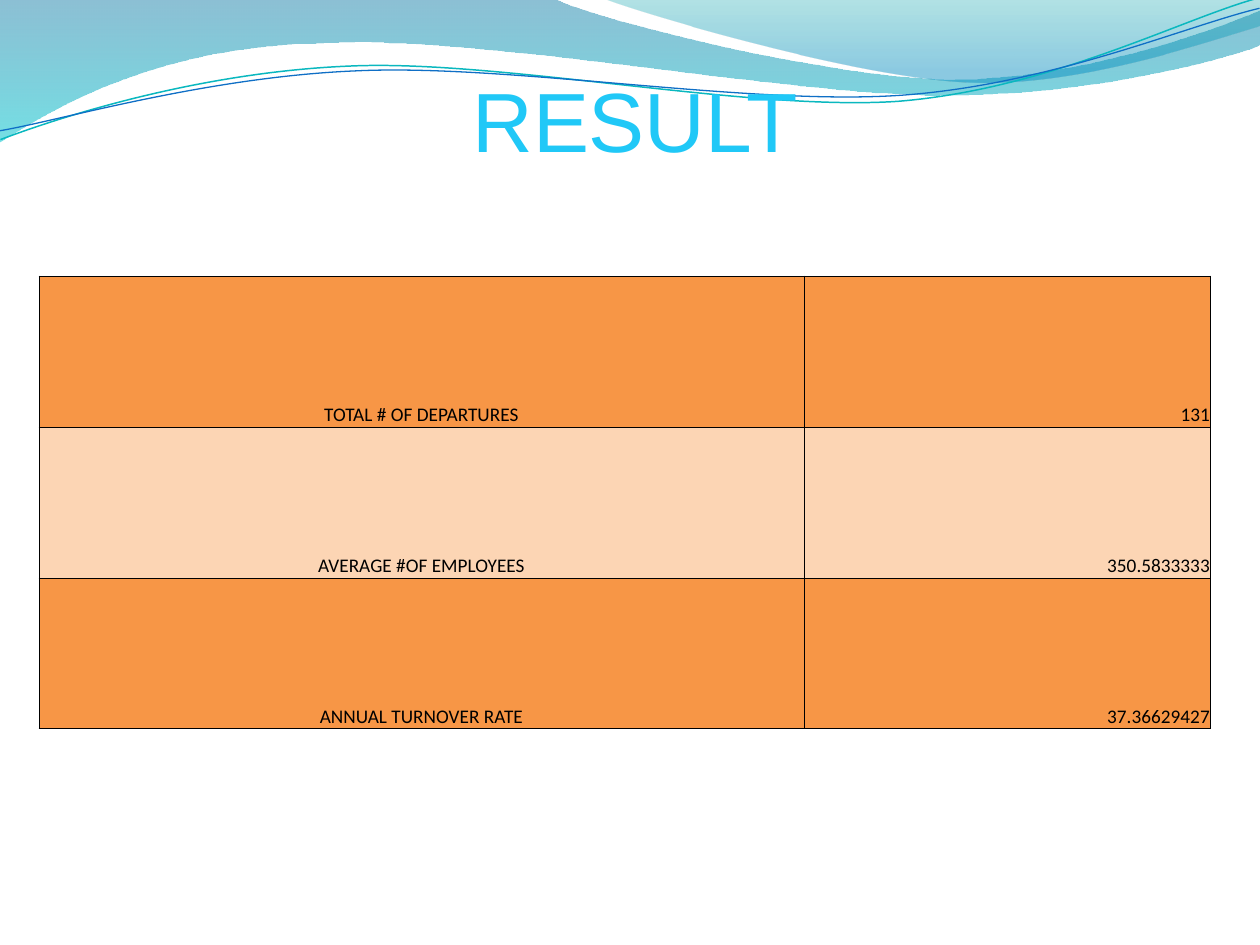
from lxml.etree import SubElement
from pptx import Presentation
from pptx.dml.color import RGBColor
from pptx.enum.text import MSO_ANCHOR, PP_ALIGN
from pptx.oxml.ns import qn
from pptx.util import Pt

PX = 914400 / 126  # EMU per px


def color(hex_string):
    return RGBColor.from_string(hex_string)


def add_outline(slide, start, segments, close):
    """Draw lines (one point) and cubic curves (three points) as one freeform."""
    builder = slide.shapes.build_freeform(*start, scale=PX)
    builder.add_line_segments([p for segment in segments for p in segment], close=close)
    shape = builder.convert_to_shape()
    shape.shadow.inherit = False
    steps = iter(list(shape._element.iter(qn("a:lnTo"))))
    for segment in segments:
        first, *others = [next(steps) for _ in segment]
        if others:
            curve = first.makeelement(qn("a:cubicBezTo"))
            first.addprevious(curve)
            for step in (first, *others):
                curve.append(step[0])
                step.getparent().remove(step)
    return shape


presentation = Presentation()
presentation.slide_width = round(1260 * PX)
presentation.slide_height = round(945 * PX)
slide = presentation.slides.add_slide(presentation.slide_layouts[6])

# Header waves: start, segments, gradient stops (position, color, opacity %)
waves = [
    ((0, 0), [
        [(554, -1)],
        [(600, 21), (837, 79), (955, 79)],
        [(1075, 79), (1207, 33), (1260, 11)],
        [(1261, 45)],
        [(1239, 55), (1096, 96), (940, 95)],
        [(784, 95), (481, 35), (324, 43)],
        [(163, 45), (58, 105), (-1, 142)],
    ], [(0, "0074A1", 45), (1, "00C6CF", 55)]),
    ((604, -1), [
        [(641, 14), (859, 78), (969, 82)],
        [(1079, 87), (1211, 40), (1260, 26)],
        [(1260, 0)],
    ], [(0, "00A1A9", 30), (0.8, "008BBF", 45)]),
]
for start, segments, stops in waves:
    wave = add_outline(slide, start, segments, close=True)
    wave.line.fill.background()
    wave.fill.gradient()
    wave.fill.gradient_angle = 270
    for stop, (position, hex_string, _) in zip(wave.fill.gradient_stops, stops):
        stop.position = position
        stop.color.rgb = color(hex_string)
    stop_colors = wave._element.spPr.iter(qn("a:srgbClr"))
    for stop_color, (_, _, opacity) in zip(list(stop_colors), stops):
        SubElement(stop_color, qn("a:alpha"), val=str(opacity * 1000))

# Thin lines over the waves, slightly turned
wave_lines = [
    ((-2, 110), [
        [(59, 90), (200, 52), (350, 53)],
        [(499, 53), (745, 117), (896, 114)],
        [(1049, 109), (1184, 45), (1260, 28)],
    ], "0AB8BF", 0.85),
    ((-2, 101), [
        [(57, 94), (207, 57), (357, 58)],
        [(509, 58), (750, 112), (902, 108)],
        [(1052, 104), (1188, 52), (1262, 38)],
    ], "0F6FC6", 0.75),
]
for start, segments, hex_string, width in wave_lines:
    wave_line = add_outline(slide, start, segments, close=False)
    wave_line.rotation = 357.3
    wave_line.fill.background()
    wave_line.line.color.rgb = color(hex_string)
    wave_line.line.width = Pt(width)

# Title, ending in a line break
title = slide.shapes.add_textbox(*(round(n * PX) for n in (63, 78, 1144, 186)))
text_frame = title.text_frame
text_frame.word_wrap = True
text_frame.vertical_anchor = MSO_ANCHOR.BOTTOM
text_frame.margin_left = text_frame.margin_right = text_frame.margin_bottom = 0
text_frame.margin_top = round(6 * PX)
text_frame.text = "RESULT\v"
paragraph = text_frame.paragraphs[0]
paragraph.alignment = PP_ALIGN.CENTER
font = paragraph.runs[0].font
font.name, font.size = "Arial", Pt(48)
font.color.rgb = color("20C8F7")
line_break = paragraph._p.find(qn("a:br"))
for parent, tag in ((line_break, "a:rPr"), (paragraph._p, "a:endParaRPr")):
    break_font = SubElement(parent, qn(tag), sz="4500")
    SubElement(break_font, qn("a:latin"), typeface="Arial")

# Result table
results = [
    ("TOTAL # OF DEPARTURES", "131"),
    ("AVERAGE #OF EMPLOYEES", "350.5833333"),
    ("ANNUAL TURNOVER RATE", "37.36629427"),
]
column_widths = (765, 406)
row_height = 151
frame = slide.shapes.add_table(
    len(results), len(column_widths), round(39 * PX), round(276 * PX),
    round(sum(column_widths) * PX), round(row_height * len(results) * PX))
table = frame.table
table.first_row = table.horz_banding = False
for column, width in zip(table.columns, column_widths):
    column.width = round(width * PX)
for row_index, result in enumerate(results):
    table.rows[row_index].height = round(row_height * PX)
    for column_index, text in enumerate(result):
        cell = table.cell(row_index, column_index)
        cell.margin_left = cell.margin_right = cell.margin_top = cell.margin_bottom = 0
        cell.vertical_anchor = MSO_ANCHOR.BOTTOM
        cell.text_frame.text = text
        paragraph = cell.text_frame.paragraphs[0]
        paragraph.alignment = PP_ALIGN.RIGHT if column_index else PP_ALIGN.CENTER
        font = paragraph.runs[0].font
        font.name, font.size = "Calibri", Pt(11)
        font.color.rgb = color("000000")
        properties = cell._tc.get_or_add_tcPr()
        for side in ("a:lnL", "a:lnR", "a:lnT", "a:lnB"):
            border = SubElement(properties, qn(side), w=str(Pt(0.5)))
            border_fill = SubElement(border, qn("a:solidFill"))
            SubElement(border_fill, qn("a:srgbClr"), val="000000")
        cell.fill.solid()
        cell.fill.fore_color.rgb = color("FCD5B4" if row_index % 2 else "F79646")

presentation.save("out.pptx")
